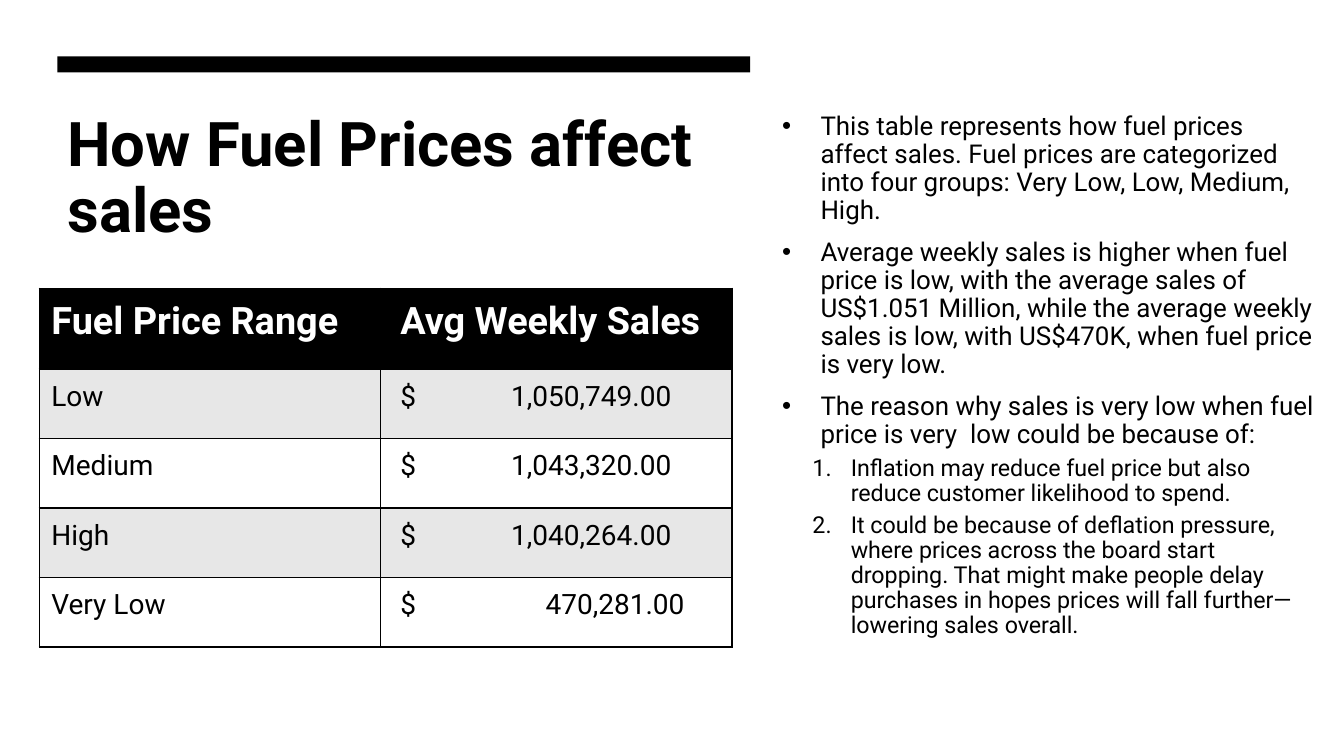
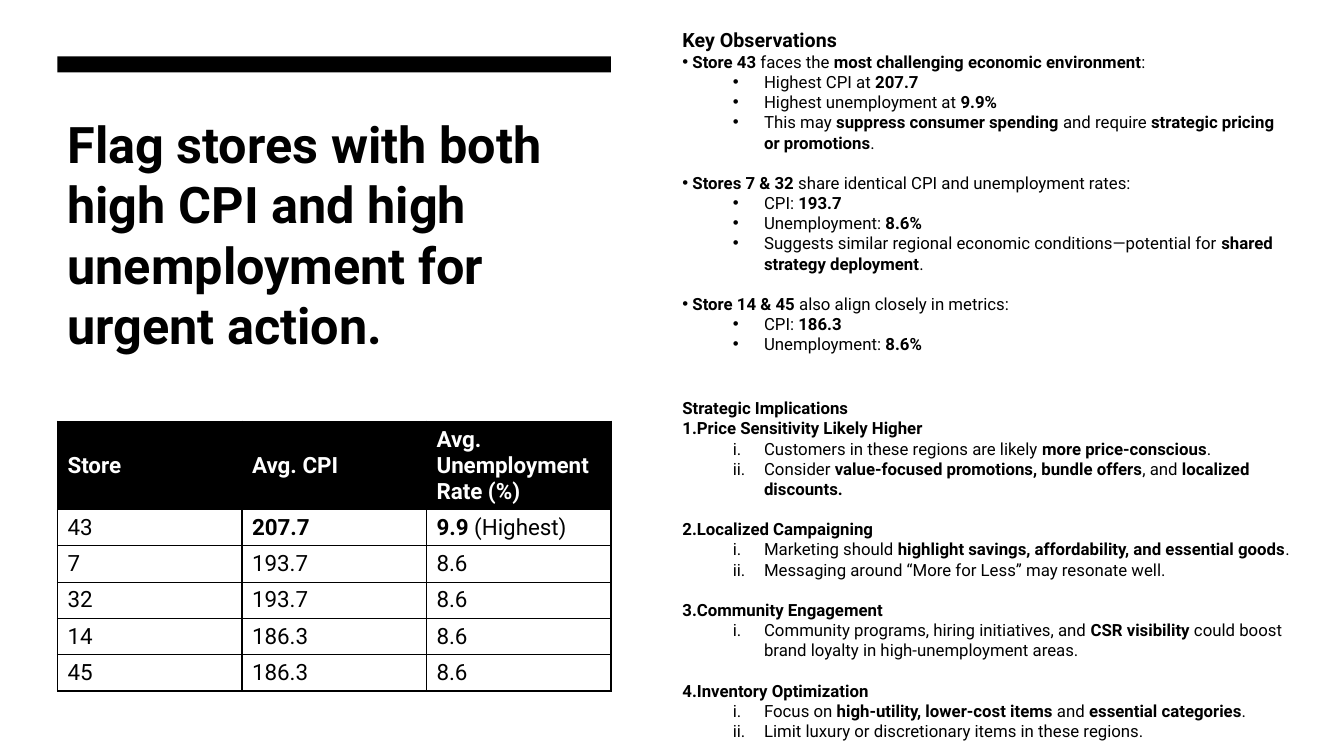
from lxml import etree
from pptx import Presentation
from pptx import util as u
from pptx.dml.color import RGBColor
from pptx.enum import shapes, text
from pptx.oxml import ns

COLORS = {"ink": "000000", "paper": "FFFFFF", "stripe": "E7E7E7"}
FONT = "Roboto"
LEFT, TITLE_TOP, BAR_TOP, BAR_HEIGHT = 0.57, 1.07, 0.56, 0.16
AMOUNT_TAB = 2.69

# Paragraph kinds: level, margin, indent, bullet character or numbering scheme
PLAIN = {}
POINT = {"level": 0, "margin": 0.38, "indent": -0.38, "bullet": "•"}
REASON = {"level": 1, "margin": 0.68, "indent": -0.38, "number": "arabicPeriod"}
STORE = {"level": 0, "margin": 0.1, "indent": -0.1, "bullet": "•"}
DETAIL = {"level": 1, "margin": 0.81, "indent": -0.31, "bullet": "•"}
THEME = {"level": 0, "number": "arabicPeriod"}
ACTION = {"level": 1, "margin": 0.81, "indent": -0.31, "number": "romanLcPeriod"}

PRICE_ROWS = [
    ("Fuel Price Range", "Avg Weekly Sales"),
    ("Low", "$\t1,050,749.00"),
    ("Medium", "$\t1,043,320.00"),
    ("High", "$\t1,040,264.00"),
    ("Very Low", "$\t470,281.00"),
]
PRICE_NOTES = [
    (POINT, "This table represents how fuel prices affect sales. Fuel prices are "
            "categorized into four groups: Very Low, Low, Medium, High."),
    (POINT, "Average weekly sales is higher when fuel price is low, with the average "
            "sales of US$1.051 Million, while the average weekly sales is low, with "
            "US$470K, when fuel price is very low."),
    (POINT, "The reason why sales is very low when fuel price is very  low could be "
            "because of:"),
    (REASON, "Inflation may reduce fuel price but also reduce customer likelihood to spend."),
    (REASON, "It could be because of deflation pressure, where prices across the board "
             "start dropping. That might make people delay purchases in hopes prices "
             "will fall further—lowering sales overall."),
]
STORE_ROWS = [
    ("Store", "Avg. CPI", "Avg. Unemployment Rate (%)"),
    ("43", "**207.7**", "**9.9** (Highest)"),
    ("7", "193.7", "8.6"),
    ("32", "193.7", "8.6"),
    ("14", "186.3", "8.6"),
    ("45", "186.3", "8.6"),
]
OBSERVATIONS = [
    (PLAIN, "**Key Observations**"),
    (STORE, "**Store 43** faces the **most challenging economic environment**:"),
    (DETAIL, "Highest CPI at **207.7**"),
    (DETAIL, "Highest unemployment at **9.9%**"),
    (DETAIL, "This may **suppress consumer spending** and require "
             "**strategic pricing or promotions**."),
    (STORE, "**Stores 7 & 32** share identical CPI and unemployment rates:"),
    (DETAIL, "CPI: **193.7**"),
    (DETAIL, "Unemployment: **8.6%**"),
    (DETAIL, "Suggests similar regional economic conditions—potential for "
             "**shared strategy deployment**."),
    (STORE, "**Store 14 & 45** also align closely in metrics:"),
    (DETAIL, "CPI: **186.3**"),
    (DETAIL, "Unemployment: **8.6%**"),
]
IMPLICATIONS = [
    (PLAIN, "**Strategic Implications**"),
    (THEME, "**Price Sensitivity Likely Higher**"),
    (ACTION, "Customers in these regions are likely **more price-conscious**."),
    (ACTION, "Consider **value-focused promotions, bundle offers**, and "
             "**localized discounts.**"),
    (THEME, "**Localized Campaigning**"),
    (ACTION, "Marketing should **highlight savings, affordability, and essential goods**."),
    (ACTION, "Messaging around “More for Less” may resonate well."),
    (THEME, "**Community Engagement**"),
    (ACTION, "Community programs, hiring initiatives, and **CSR visibility** could boost "
             "brand loyalty in high-unemployment areas."),
    (THEME, "**Inventory Optimization**"),
    (ACTION, "Focus on **high-utility, lower-cost items** and **essential categories**."),
    (ACTION, "Limit luxury or discretionary items in these regions."),
]


def rgb(name):
    return RGBColor.from_string(COLORS[name])


def child(parent, tag, **attributes):
    """Append a drawing element to parent."""
    return etree.SubElement(parent, ns.qn(tag), **attributes)


def write(para, words, size, color="ink", bold=False):
    """Fill a paragraph; words between double asterisks are bold."""
    for index, piece in enumerate(words.split("**")):
        if piece:
            span = para.add_run()
            span.text = piece
            span.font.name = FONT
            span.font.size = u.Pt(size)
            span.font.bold = bold or index % 2 == 1
            span.font.color.rgb = rgb(color)


def style_list(para, level=0, margin=0, indent=0, bullet=None, number=None):
    para.level = level
    properties = para._p.get_or_add_pPr()
    properties.set("marL", str(u.Inches(margin)))
    properties.set("indent", str(u.Inches(indent)))
    if bullet:
        child(properties, "a:buFont", typeface="Arial")
        child(properties, "a:buChar", char=bullet)
    elif number:
        child(properties, "a:buAutoNum", type=number)
    else:
        child(properties, "a:buNone")


def add_text(page, box, items, size_of, gap_of=None, line=None, bold=False, grow=False):
    """Place (kind, words) items; size_of and gap_of give points per item."""
    frame = page.shapes.add_textbox(*map(u.Inches, box)).text_frame
    frame.word_wrap = True
    frame.auto_size = (text.MSO_AUTO_SIZE.SHAPE_TO_FIT_TEXT if grow
                       else text.MSO_AUTO_SIZE.NONE)
    for index, (kind, words) in enumerate(items):
        para = frame.add_paragraph() if index else frame.paragraphs[0]
        style_list(para, **kind)
        if line:
            para.line_spacing = line
        if index and gap_of:
            para.space_before = u.Pt(gap_of(index, kind))
        write(para, words, size_of(index, kind), bold=bold)


def add_heading(page, title, width, height, size, line=None):
    """Black bar with the slide title below it."""
    bar = page.shapes.add_shape(shapes.MSO_SHAPE.RECTANGLE, *map(
        u.Inches, (LEFT, BAR_TOP, width, BAR_HEIGHT)))
    bar.shadow.inherit = False
    bar.fill.solid()
    bar.fill.fore_color.rgb = rgb("ink")
    bar.line.fill.background()
    add_text(page, (LEFT, TITLE_TOP, width, height), [(PLAIN, title)],
             lambda index, kind: size, line=line, bold=True)


def frame_cell(cell, fill):
    properties = cell._tc.get_or_add_tcPr()
    for side in ("a:lnL", "a:lnR", "a:lnT", "a:lnB"):
        edge = child(properties, side, w=str(u.Pt(1)))
        child(child(edge, "a:solidFill"), "a:srgbClr", val=COLORS["ink"])
    cell.fill.solid()
    cell.fill.fore_color.rgb = rgb(fill)


def add_grid(page, left, top, widths, heights, rows, sizes, body_fills):
    """Bordered table with a black header; returns the table."""
    grid = page.shapes.add_table(len(rows), len(widths), *map(
        u.Inches, (left, top, sum(widths), sum(heights)))).table
    grid.horz_banding = False
    for column, width in zip(grid.columns, widths):
        column.width = u.Inches(width)
    for r, (height, words) in enumerate(zip(heights, rows)):
        grid.rows[r].height = u.Inches(height)
        for c, value in enumerate(words):
            cell = grid.cell(r, c)
            header = r == 0
            frame_cell(cell, "ink" if header else body_fills[(r - 1) % len(body_fills)])
            cell.vertical_anchor = text.MSO_ANCHOR.MIDDLE
            write(cell.text_frame.paragraphs[0], value, sizes[0 if header else 1],
                  "paper" if header else "ink", header)
    return grid


def align_amounts(grid):
    """Sit text low in the cells and right-align amounts at a tab stop."""
    last = len(grid.rows) - 1
    for r in range(last + 1):
        for c, margin in enumerate((0.12, 0.2)):
            cell = grid.cell(r, c)
            cell.vertical_anchor = text.MSO_ANCHOR.BOTTOM
            cell.margin_left, cell.margin_top = u.Inches(margin), u.Inches(0.03)
            cell.margin_right, cell.margin_bottom = u.Inches(0.01), u.Inches(0.25)
        if r:
            stop = AMOUNT_TAB + (0.13 if r == last else 0)
            properties = grid.cell(r, 1).text_frame.paragraphs[0]._p.get_or_add_pPr()
            child(child(properties, "a:tabLst"), "a:tab",
                  pos=str(u.Inches(stop)), algn="r")


def build_fuel_prices(page):
    add_heading(page, "How Fuel Prices affect sales", 6.87, 1.45, 44, line=0.9)
    grid = add_grid(page, 0.39, 2.86, (3.38, 3.49), [0.8] + [0.69] * 4,
                    PRICE_ROWS, (27, 20), ("stripe", "paper"))
    align_amounts(grid)
    add_text(page, (7.66, TITLE_TOP, 5.49, 5.33), PRICE_NOTES,
             lambda index, kind: 18.5 if kind is POINT else 16.6,
             lambda index, kind: 10 if kind is POINT else 5, line=0.9)


def build_flagged_stores(page):
    add_heading(page, "Flag stores with both high CPI and high unemployment "
                "for urgent action.", 5.49, 2.68, 36)
    add_grid(page, LEFT, 4.18, [1.83] * 3, [0.87] + [0.36] * 5,
             STORE_ROWS, (16, 16), ("paper",))
    # Notes: each group after the first stands one line apart
    for top, height, items, heading_size in ((0.23, 3.67, OBSERVATIONS, 14),
                                             (3.9, 3.53, IMPLICATIONS, 12)):
        add_text(page, (6.67, top, 6.24, height), items,
                 lambda index, kind: 12 if index else heading_size,
                 lambda index, kind: 14.4 if index > 1 and kind in (STORE, THEME) else 0,
                 grow=True)


def main():
    deck = Presentation()
    deck.slide_width, deck.slide_height = u.Inches(13.33), u.Inches(7.5)
    for build in (build_fuel_prices, build_flagged_stores):
        build(deck.slides.add_slide(deck.slide_layouts[6]))
    deck.save("out.pptx")


if __name__ == "__main__":
    main()
